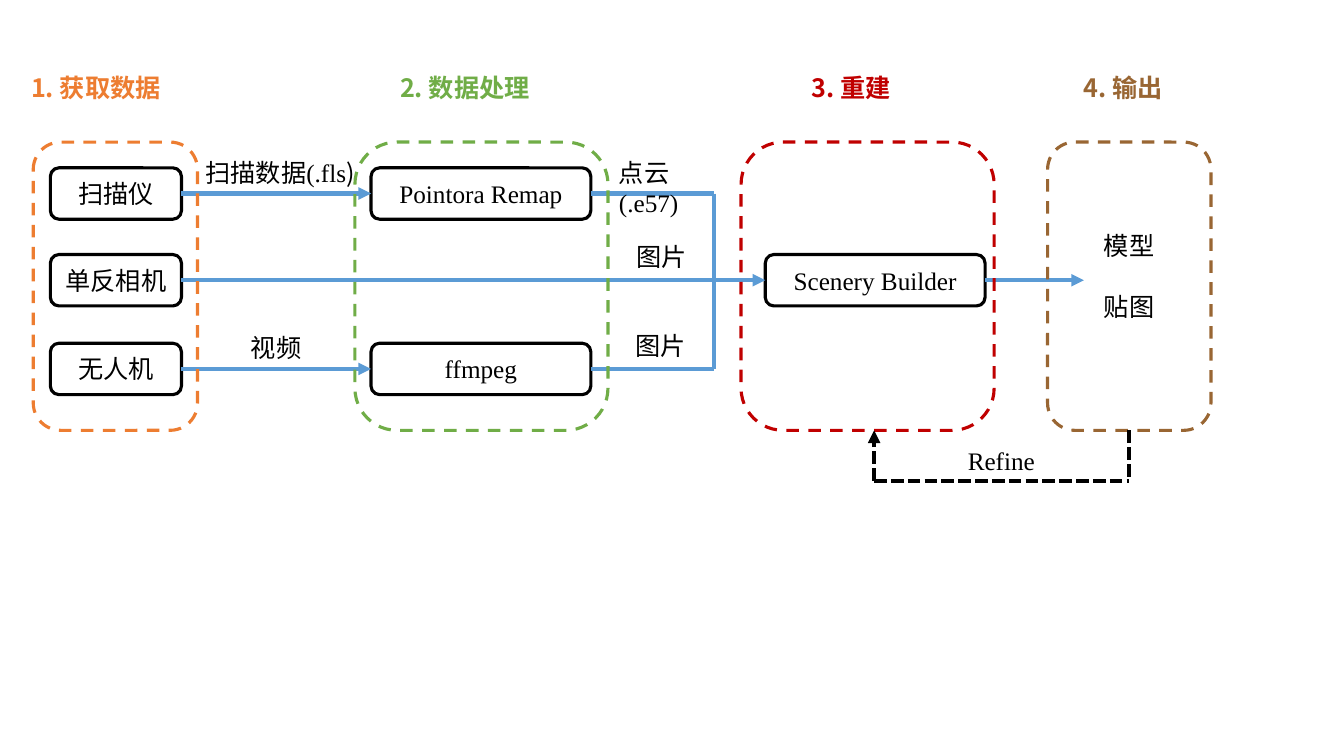
from dataclasses import dataclass

from lxml import etree
from pptx import Presentation
from pptx.dml.color import RGBColor
from pptx.enum.dml import MSO_LINE
from pptx.enum.shapes import MSO_CONNECTOR, MSO_SHAPE
from pptx.enum.text import MSO_ANCHOR, PP_ALIGN
from pptx.oxml.ns import qn
from pptx.util import Inches, Pt

ROUNDED = MSO_SHAPE.ROUNDED_RECTANGLE
STRAIGHT = MSO_CONNECTOR.STRAIGHT
DASH = MSO_LINE.DASH
SQUARE_DOT = MSO_LINE.SQUARE_DOT
MIDDLE = MSO_ANCHOR.MIDDLE
CENTER = PP_ALIGN.CENTER
RIGHT_SIDE, LEFT_SIDE, BOTTOM_SIDE = 3, 1, 2


@dataclass(frozen=True)
class Theme:
    capture: str = "ED7D31"
    process: str = "70AD47"
    rebuild: str = "C00000"
    output: str = "996633"
    flow: str = "5B9BD5"
    ink: str = "000000"
    paper: str = "FFFFFF"
    chinese: str = "Noto Sans CJK SC"
    latin: str = "Times New Roman"
    text_size: int = 18
    outline: float = 2.25
    arrow: float = 3
    gap: int = 22


THEME = Theme()

# Grid of 0.1 inch cells: x counts columns, y counts rows
SCANNER_ROW, CAMERA_ROW, DRONE_ROW = 19.2, 27.8, 36.6
FRAME_TOP, FRAME_HEIGHT = 14.1, 28.6
TITLE_TOP, LABEL_HEIGHT = 6.7, 4
BOX_HEIGHT = 5.1
MERGE_COLUMN = 70.8
LOOP_COLUMN, LOOP_ROW = 86.7, 47.7


def grid(*cells):
    return [Inches(cell / 10) for cell in cells]


def color(value):
    return RGBColor.from_string(value)


def format_run(run, font_name, ink, bold=False):
    run.font.name = font_name
    run.font.size = Pt(THEME.text_size)
    run.font.color.rgb = color(ink)
    run.font.bold = bold
    east_asian = etree.SubElement(run.font._element, qn("a:ea"))
    east_asian.set("typeface", font_name)


def add_rounded(slide, left, top, width, height, ink):
    shape = slide.shapes.add_shape(ROUNDED, *grid(left, top, width, height))
    shape.shadow.inherit = False
    shape.line.color.rgb = color(ink)
    shape.line.width = Pt(THEME.outline)
    return shape


def add_box(slide, left, row, width, text, font_name):
    """A solid step box centred on its row."""
    shape = add_rounded(slide, left, row - BOX_HEIGHT / 2, width, BOX_HEIGHT, THEME.ink)
    shape.fill.solid()
    shape.fill.fore_color.rgb = color(THEME.paper)
    frame = shape.text_frame
    frame.text = text
    frame.word_wrap = False
    frame.vertical_anchor = MIDDLE
    frame.paragraphs[0].alignment = CENTER
    format_run(frame.paragraphs[0].runs[0], font_name, THEME.ink)
    return shape


def add_frame(slide, left, width, ink):
    """The dashed outline around one stage."""
    shape = add_rounded(slide, left, FRAME_TOP, width, FRAME_HEIGHT, ink)
    shape.fill.background()
    shape.line.dash_style = DASH
    return shape


def add_label(slide, left, top, width, lines, ink=THEME.ink, bold=False, wrap=False):
    """A text box; each line is a list of (text, font) pieces."""
    box = slide.shapes.add_textbox(*grid(left, top, width, LABEL_HEIGHT))
    frame = box.text_frame
    frame.word_wrap = wrap
    for index, pieces in enumerate(lines):
        paragraph = frame.add_paragraph() if index else frame.paragraphs[0]
        if index:
            paragraph.space_before = Pt(THEME.gap)
        for text, font_name in pieces:
            run = paragraph.add_run()
            run.text = text
            format_run(run, font_name, ink, bold)


def add_line(slide, start, end, ink=THEME.flow, arrow=False, dash=None,
             source=None, target=None):
    """A straight line; source and target are (shape, side) joints."""
    line = slide.shapes.add_connector(STRAIGHT, *grid(*start, *end))
    if source:
        line.begin_connect(*source)
    if target:
        line.end_connect(*target)
    line.line.color.rgb = color(ink)
    line.line.width = Pt(THEME.arrow)
    if dash:
        line.line.dash_style = dash
    if arrow:
        etree.SubElement(line.line._get_or_add_ln(), qn("a:tailEnd"), type="triangle")
    etree.SubElement(line._element.spPr, qn("a:effectLst"))


def main():
    presentation = Presentation()
    presentation.slide_width, presentation.slide_height = Inches(13.33), Inches(7.5)
    slide = presentation.slides.add_slide(presentation.slide_layouts[6])
    chinese, latin = THEME.chinese, THEME.latin

    # Step boxes
    scanner, camera, drone = [
        add_box(slide, 5, row, 13, text, chinese)
        for row, text in ((SCANNER_ROW, "扫描仪"), (CAMERA_ROW, "单反相机"),
                          (DRONE_ROW, "无人机"))
    ]
    point_tool, video_tool, scene_tool = [
        add_box(slide, left, row, 21.8, text, latin)
        for left, row, text in ((36.8, SCANNER_ROW, "Pointora Remap"),
                                (36.8, DRONE_ROW, "ffmpeg"),
                                (75.9, CAMERA_ROW, "Scenery Builder"))
    ]

    # Arrows between boxes
    for source, target, row in ((scanner, point_tool, SCANNER_ROW),
                                (camera, scene_tool, CAMERA_ROW),
                                (drone, video_tool, DRONE_ROW)):
        add_line(slide, (18, row), (36.8, row), arrow=True,
                 source=(source, RIGHT_SIDE), target=(target, LEFT_SIDE))
    add_line(slide, (97.7, CAMERA_ROW), (107.5, CAMERA_ROW), arrow=True,
             source=(scene_tool, RIGHT_SIDE))

    # Processed data merges into the camera row
    for tool, row in ((point_tool, SCANNER_ROW), (video_tool, DRONE_ROW)):
        add_line(slide, (58.6, row), (MERGE_COLUMN, row), source=(tool, RIGHT_SIDE))
        add_line(slide, (MERGE_COLUMN, row), (MERGE_COLUMN, CAMERA_ROW))

    # Stage frames and titles
    stages = (
        (3.3, 16.3, 2.1, 15.9, "1. 获取数据", THEME.capture),
        (35.2, 25.1, 38.7, 16, "2. 数据处理", THEME.process),
        (73.5, 25.1, 79.5, 10.9, "3. 重建", THEME.rebuild),
        (103.9, 16.2, 106.5, 10.9, "4. 输出", THEME.output),
    )
    for left, width, title_left, title_width, title, ink in stages:
        stage_frame = add_frame(slide, left, width, ink)
        add_label(slide, title_left, TITLE_TOP, title_width, [[(title, chinese)]],
                  ink, bold=True)
    output_frame = stage_frame

    # Data labels
    add_label(slide, 19.4, 15.1, 17.4,
              [[("扫描数据", chinese), ("(.fls", latin), (")", chinese)]])
    add_label(slide, 60.4, 15.1, 12.5, [[("点云", chinese), ("(.e57)", latin)]], wrap=True)
    for left, top, text in ((62.1, 23.4, "图片"), (23.9, 32.5, "视频"), (62, 32.3, "图片")):
        add_label(slide, left, top, 7.1, [[(text, chinese)]])
    add_label(slide, 108.5, 22.4, 7.1, [[("模型", chinese)], [("贴图", chinese)]])

    # Refinement loop
    loop = {"ink": THEME.ink, "dash": SQUARE_DOT}
    frame_bottom = FRAME_TOP + FRAME_HEIGHT
    add_line(slide, (112, frame_bottom), (112, LOOP_ROW),
             source=(output_frame, BOTTOM_SIDE), **loop)
    add_line(slide, (LOOP_COLUMN, LOOP_ROW), (112, LOOP_ROW), **loop)
    add_line(slide, (LOOP_COLUMN, LOOP_ROW), (LOOP_COLUMN, frame_bottom),
             arrow=True, **loop)
    add_label(slide, 95, 43.7, 8.8, [[("Refine", latin)]])

    presentation.save("out.pptx")


if __name__ == "__main__":
    main()
